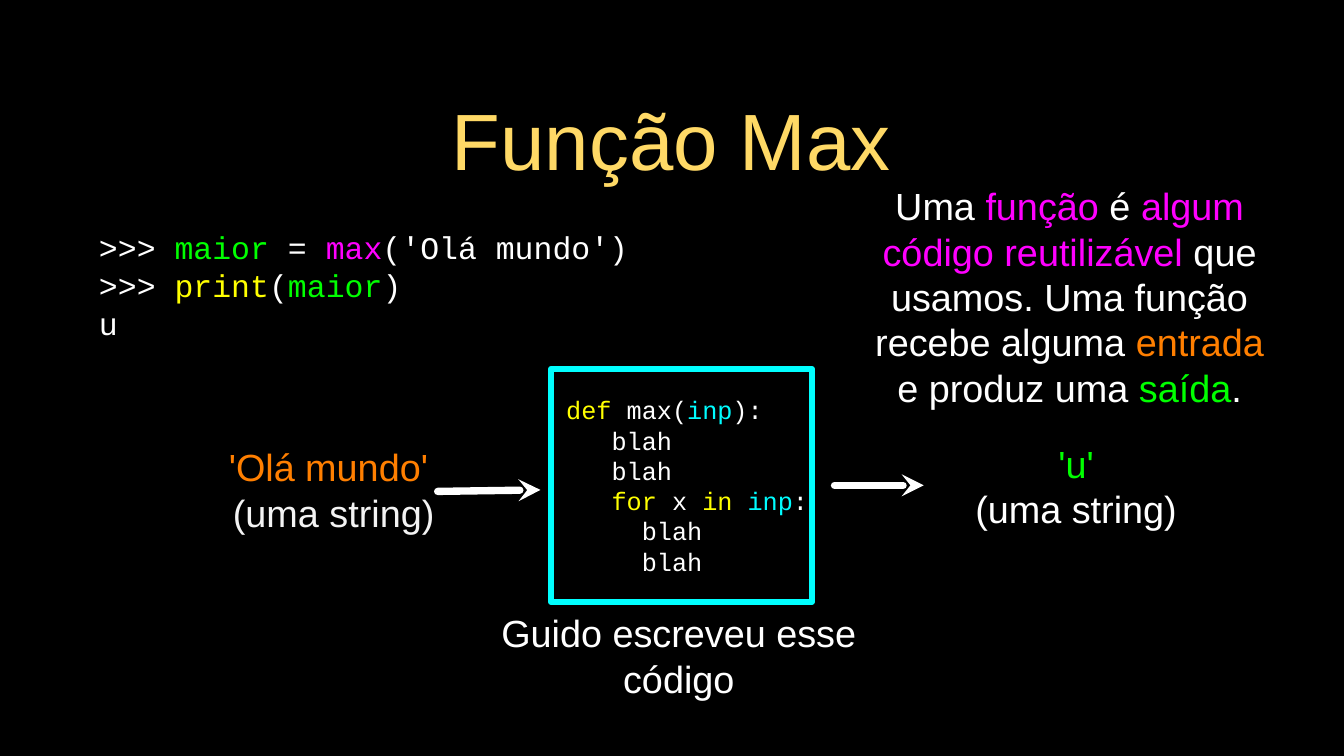
from lxml import etree
from pptx import Presentation
from pptx.dml.color import RGBColor
from pptx.enum.shapes import MSO_CONNECTOR as CONN, MSO_SHAPE as SHAPE
from pptx.enum.text import MSO_ANCHOR as ANCHOR, PP_ALIGN as ALIGN
from pptx.oxml.ns import qn
from pptx.util import Pt

WHITE, YELLOW, GREEN = 'FFFFFF', 'FFFF00', '00FF00'
MAGENTA, ORANGE, CYAN = 'FF00FF', 'FF7F00', '00FDFF'


def rgb(value):
    return RGBColor.from_string(value)


def write(sp, lines, size, font='Arial', align=ALIGN.CENTER, indents=None):
    tf = sp.text_frame
    frame = dict(word_wrap=True, vertical_anchor=ANCHOR.MIDDLE, margin_left=0,
                 margin_right=0, margin_top=0, margin_bottom=0)
    for name, value in frame.items():
        setattr(tf, name, value)
    for i, line in enumerate(lines):
        p = tf.paragraphs[0] if i == 0 else tf.add_paragraph()
        p.alignment = align
        p.line_spacing = Pt(size * 1.2)
        if indents:
            pPr = p._p.get_or_add_pPr()
            pPr.set('marL', str(int(Pt(indents[i] * size * 0.6))))
            pPr.set('indent', '0')
        for text, color in line:
            r = p.add_run()
            r.text = text
            for name, value in dict(name=font, size=Pt(size), bold=False).items():
                setattr(r.font, name, value)
            r.font.color.rgb = rgb(color)


prs = Presentation()
prs.slide_width, prs.slide_height = Pt(1280.16), Pt(720)
s = prs.slides.add_slide(prs.slide_layouts[6])
s.background.fill.solid()
s.background.fill.fore_color.rgb = rgb('000000')

session = [
    [('>>> ', WHITE), ('maior', GREEN), (' = ', WHITE), ('max', MAGENTA), ("('Olá mundo')", WHITE)],
    [('>>> ', WHITE), ('print', YELLOW), ('(', WHITE), ('maior', GREEN), (')', WHITE)],
    [('u', WHITE)],
]
definition = [
    ('Uma ', WHITE), ('função', MAGENTA), (' é ', WHITE),
    ('algum código reutilizável', MAGENTA),
    (' que usamos. Uma função recebe alguma ', WHITE), ('entrada', ORANGE),
    (' e produz uma ', WHITE), ('saída', GREEN), ('.', WHITE),
]
texts = [
    ((90.7, 63.4, 1097.3, 136.8), [[('Função Max', 'FFD966')]], dict(size=76)),
    ((94.3, 205.9, 561.6, 131), session, dict(size=30, font='Courier New', align=ALIGN.LEFT)),
    ((205.9, 421.2, 223.9, 90), [[("'Olá mundo' ", ORANGE)], [('(uma string)', 'F3F3F3')]], dict(size=36)),
    ((916.6, 417.6, 216.7, 90), [[("'u'", GREEN)], [('(uma string)', WHITE)]], dict(size=36)),
    ((824.4, 178.6, 388.8, 207.4), [definition], dict(size=36)),
    ((468.7, 599.8, 355.7, 49), [[('Guido escreveu esse código', WHITE)]], dict(size=36)),
]
for box, lines, style in texts:
    write(s.shapes.add_textbox(*map(Pt, box)), lines, **style)

code = [
    [('def', YELLOW), (' max(', WHITE), ('inp', CYAN), ('):', WHITE)],
    [('blah', WHITE)],
    [('blah', WHITE)],
    [('for', YELLOW), (' x ', WHITE), ('in ', YELLOW), ('inp', CYAN), (':', WHITE)],
    [('blah', WHITE)],
    [('blah', WHITE)],
]
sp = s.shapes.add_shape(SHAPE.RECTANGLE, Pt(524.9), Pt(351.4), Pt(248.4), Pt(221.8))
sp.shadow.inherit = False
sp.fill.background()
sp.line.color.rgb = rgb('00FFFF')
sp.line.width = Pt(6)
etree.SubElement(sp.line._get_or_add_ln(), qn('a:round'))
write(sp, code, 24, 'Courier New', ALIGN.LEFT, indents=[1, 4, 4, 4, 6, 6])

for ends in [(416.9, 468, 514.8, 466.6), (794.9, 462.2, 879.8, 462.2)]:
    arrow = s.shapes.add_connector(CONN.STRAIGHT, *map(Pt, ends))
    arrow.line.color.rgb = rgb(WHITE)
    arrow.line.width = Pt(7)
    ln = arrow.line._get_or_add_ln()
    ln.set('cap', 'rnd')
    etree.SubElement(ln, qn('a:round'))
    etree.SubElement(ln, qn('a:tailEnd'), type='stealth')
    etree.SubElement(arrow._element.spPr, qn('a:effectLst'))

prs.save("out.pptx")
